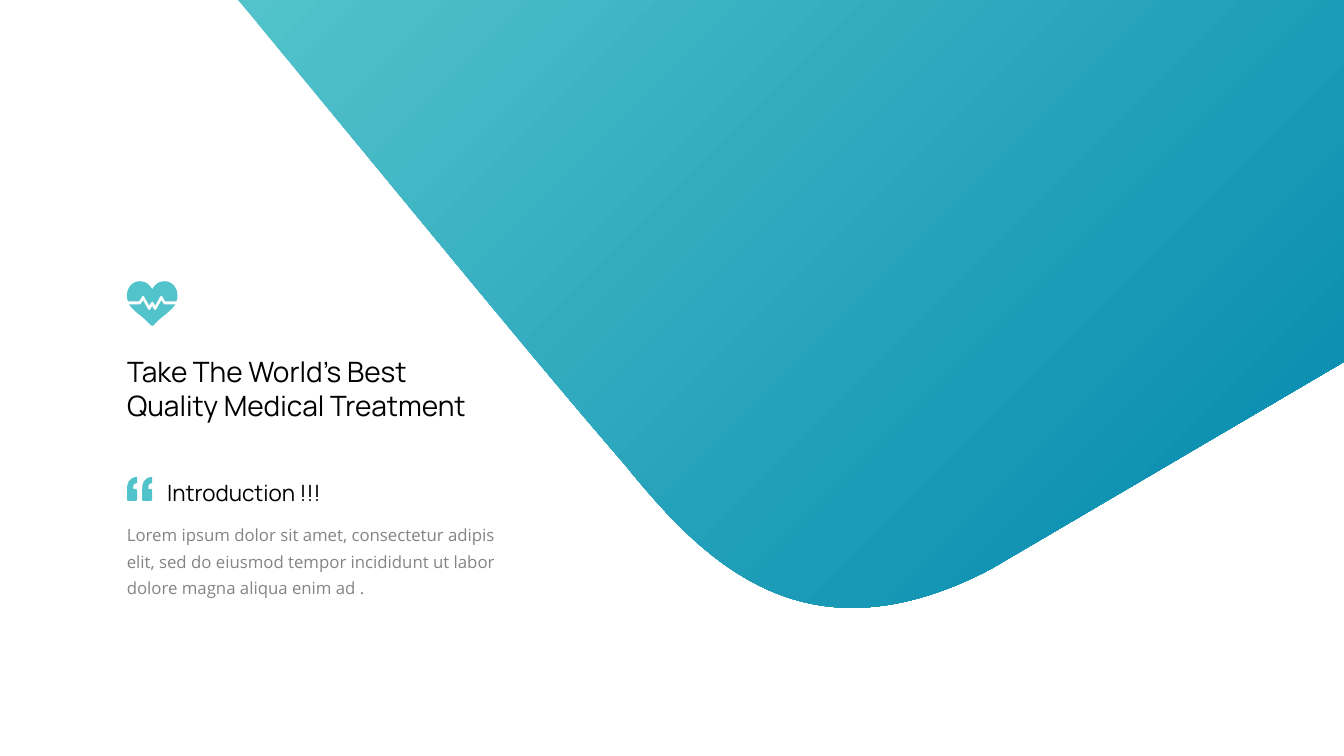
from copy import deepcopy

from pptx import Presentation
from pptx.dml.color import RGBColor
from pptx.enum.text import MSO_ANCHOR, MSO_AUTO_SIZE, PP_ALIGN
from pptx.oxml.ns import qn
from pptx.util import Inches, Pt

AQUA = RGBColor(0x52, 0xC3, 0xCB)
DEEP_BLUE = RGBColor(0x01, 0x87, 0xAD)
BLACK = RGBColor(0x00, 0x00, 0x00)
GREY = RGBColor(0x84, 0x84, 0x84)
HEADING_FONT = "Manrope"
BODY_FONT = "Open Sans"
TITLE_ONLY = 5


def pairs(segment):
    return list(zip(segment[::2], segment[1::2]))


def shifted(segments, dx):
    return [[v for x, y in pairs(segment) for v in (x + dx, y)] for segment in segments]


def mirrored(segments, axis):
    """Complete a left half with its reflection in a vertical axis."""
    half = [pairs(segment) for segment in segments]
    reflection = []
    for before, segment in zip(half[-2::-1], half[:0:-1]):
        backwards = segment[-2::-1] + before[-1:]
        reflection.append([v for x, y in backwards for v in (2 * axis - x, y)])
    return segments + reflection


def bend(shape, segments):
    """Turn the straight sides that have control points into Bézier curves."""
    sides = list(shape.element.iter(qn("a:lnTo")))
    for side, segment in zip(sides, segments):
        controls = pairs(segment)[:-1]
        if not controls:
            continue
        side.tag = qn("a:cubicBezTo")
        for index, (x, y) in enumerate(controls):
            point = deepcopy(side[-1])
            point.set("x", str(Inches(x) - shape.left))
            point.set("y", str(Inches(y) - shape.top))
            side.insert(index, point)


def write(frame, lines, font, size, color, line_spacing=None):
    frame.word_wrap = True
    frame.auto_size = MSO_AUTO_SIZE.SHAPE_TO_FIT_TEXT
    frame.vertical_anchor = MSO_ANCHOR.TOP
    for index, line in enumerate(lines):
        paragraph = frame.add_paragraph() if index else frame.paragraphs[0]
        paragraph.alignment = PP_ALIGN.LEFT
        if line_spacing:
            paragraph.line_spacing = line_spacing
        run = paragraph.add_run()
        run.text = line
        run.font.name = font
        run.font.size = Pt(size)
        run.font.color.rgb = color


class SlideBuilder:
    def __init__(self, presentation):
        layout = presentation.slide_layouts[TITLE_ONLY]
        self.shapes = presentation.slides.add_slide(layout).shapes

    def title(self, left, top, width, height, lines, **style):
        title = self.shapes.title
        title.left, title.top = Inches(left), Inches(top)
        title.width, title.height = Inches(width), Inches(height)
        write(title.text_frame, lines, **style)

    def text(self, left, top, width, height, lines, **style):
        box = self.shapes.add_textbox(
            Inches(left), Inches(top), Inches(width), Inches(height))
        write(box.text_frame, lines, **style)

    def outline(self, *contours, color=AQUA, end_color=None):
        """Draw closed contours of (x, y) lines and six-number curves as one shape."""
        corners = [[(Inches(x), Inches(y)) for *_, x, y in contour] for contour in contours]
        builder = self.shapes.build_freeform(*corners[0][0])
        for index, points in enumerate(corners):
            if index:
                builder.move_to(*points[0])
            builder.add_line_segments(points[1:], close=True)
        shape = builder.convert_to_shape()
        bend(shape, [segment for contour in contours for segment in contour[1:]])
        shape.shadow.inherit = False
        shape.line.fill.background()
        if end_color is None:
            shape.fill.solid()
            shape.fill.fore_color.rgb = color
            return
        shape.fill.gradient()
        shape.fill.gradient_angle = 315
        for stop, position, shade in zip(
                shape.fill.gradient_stops, (0, 1), (color, end_color)):
            stop.position = position
            stop.color.rgb = shade


def main():
    presentation = Presentation()
    presentation.slide_width = Inches(13.33)
    presentation.slide_height = Inches(7.5)
    page = SlideBuilder(presentation)

    backdrop = [
        (2.36, 0), (13.33, 0), (13.33, 3.59), (9.82, 5.65),
        (9.3, 5.92, 8.85, 6.03, 8.45, 6.03),
        (7.43, 6.03, 6.75, 5.29, 6.19, 4.6),
        (5.21, 3.47, 3.62, 1.51, 2.42, 0.07)]
    page.outline(backdrop, end_color=DEEP_BLUE)

    page.title(1.16, 3.47, 4.14, 0.77,
               ["Take The World’s Best", "Quality Medical Treatment"],
               font=HEADING_FONT, size=20, color=BLACK)
    page.text(1.16, 5.1, 3.96, 0.87,
              ["Lorem ipsum dolor sit amet, consectetur adipis elit, sed do eiusmod "
               "tempor incididunt ut labor dolore magna aliqua enim ad ."],
              font=BODY_FONT, size=12, color=GREY, line_spacing=1.3)
    page.text(1.56, 4.7, 2.46, 0.37, ["Introduction !!!"],
              font=HEADING_FONT, size=16, color=BLACK)

    quote_mark = [
        (1.36, 4.73), (1.36, 4.79), (1.33, 4.79, 1.32, 4.81, 1.32, 4.85),
        (1.35, 4.85), (1.35, 4.85, 1.36, 4.86, 1.36, 4.87),
        (1.36, 4.95), (1.36, 4.96, 1.35, 4.97, 1.35, 4.97),
        (1.27, 4.97), (1.26, 4.97, 1.26, 4.96, 1.26, 4.95),
        (1.26, 4.86), (1.26, 4.8, 1.27, 4.74, 1.36, 4.73)]
    page.outline(*(shifted(quote_mark, dx) for dx in (0.15, 0)))

    heart_axis = 1.51
    heart_top = [
        (heart_axis, 2.87), (1.49, 2.83, 1.45, 2.79, 1.39, 2.79),
        (1.31, 2.79, 1.26, 2.85, 1.26, 2.93), (1.26, 2.95, 1.26, 2.97, 1.27, 2.99),
        (1.38, 2.99), (1.41, 2.94), (1.41, 2.93, 1.43, 2.93, 1.43, 2.94),
        (1.48, 3.03), (1.5, 3), (1.5, 2.99, 1.51, 2.99, heart_axis, 2.99)]
    heart_bottom = [
        (heart_axis, 3.04), (1.49, 3.07), (1.49, 3.08, 1.47, 3.08, 1.47, 3.07),
        (1.42, 2.98), (1.4, 3.01), (1.4, 3.02, 1.4, 3.02, 1.39, 3.02),
        (1.28, 3.02), (1.31, 3.07, 1.37, 3.11, 1.44, 3.17),
        (1.46, 3.19, 1.48, 3.21, 1.5, 3.23), (heart_axis, 3.23)]
    for half in (heart_top, heart_bottom):
        page.outline(mirrored(half, heart_axis))

    presentation.save("out.pptx")


if __name__ == "__main__":
    main()
